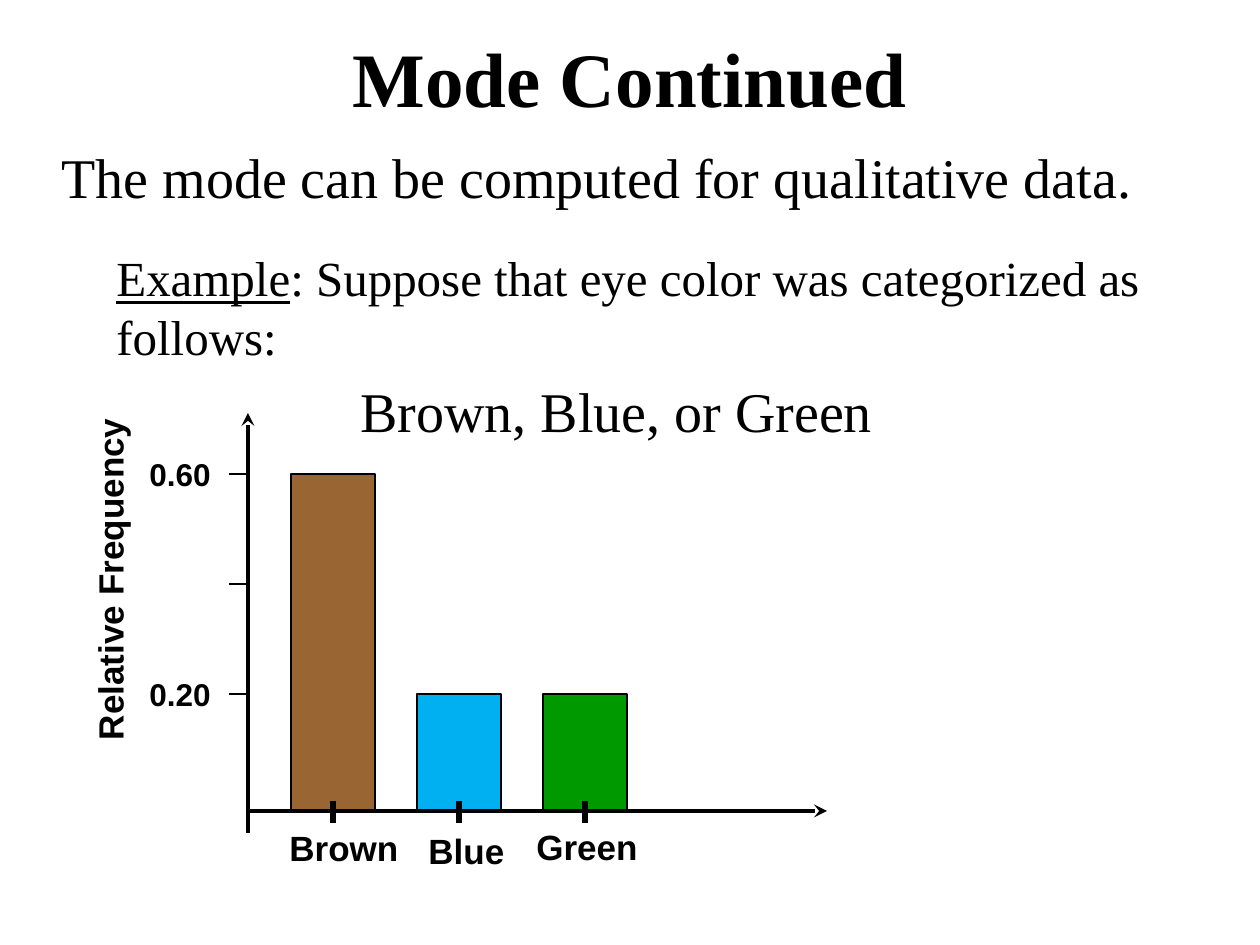
from lxml import etree
from pptx import Presentation
from pptx.dml.color import RGBColor
from pptx.enum.shapes import MSO_CONNECTOR as Connector, MSO_SHAPE as Shape
from pptx.enum.text import MSO_ANCHOR as Anchor, PP_ALIGN as Align
from pptx.oxml.ns import qn
from pptx.util import Emu, Pt

SERIF, SANS = "Times New Roman", "Arial"
BLACK = "000000"


def px(n):
    """126 px to the inch."""
    return Emu(round(n * 914400 / 126))


def color(hex_string):
    return RGBColor.from_string(hex_string)


def add_text(slide, box, wrap=True):
    frame = slide.shapes.add_textbox(*map(px, box)).text_frame
    frame.word_wrap = wrap
    return frame


def style(paragraph, font_name, size, bold=False):
    font = paragraph.font
    font.name, font.size, font.bold = font_name, Pt(size), bold
    font.color.rgb = color(BLACK)


def add_label(slide, text, box, size=20, wrap=True, rotation=0):
    label = slide.shapes.add_textbox(*map(px, box))
    label.rotation = rotation
    label.text_frame.word_wrap = wrap
    paragraph = label.text_frame.paragraphs[0]
    paragraph.text = text
    style(paragraph, SANS, size, bold=True)


def add_line(slide, start, end, width, arrow=False):
    line = slide.shapes.add_connector(Connector.STRAIGHT, *map(px, start + end))
    line.line.color.rgb = color(BLACK)
    line.line.width = Pt(width)
    if arrow:
        etree.SubElement(line.line._get_or_add_ln(), qn("a:tailEnd"), type="stealth")
    etree.SubElement(line._element.spPr, qn("a:effectLst"))


def build_title(slide, box):
    frame = add_text(slide, box)
    frame.vertical_anchor = Anchor.MIDDLE
    title = frame.paragraphs[0]
    title.text = "Mode Continued"
    title.alignment = Align.CENTER
    style(title, SERIF, 44, bold=True)


def build_body(slide, box):
    frame = add_text(slide, box)
    # Runs as (text, underlined), size, left margin in px, space before in pt
    rows = [
        ([("The mode can be computed for qualitative data.", False)], 32, 0, 0),
        ([("Example", True),
          (": Suppose that eye color was categorized as follows:", False)], 28, 55, 22),
        ([("Brown, Blue, or Green", False)], 32, 299, 6.4),
    ]
    for i, (runs, size, margin, before) in enumerate(rows):
        paragraph = frame.paragraphs[0] if i == 0 else frame.add_paragraph()
        for text, underlined in runs:
            run = paragraph.add_run()
            run.text = text
            if underlined:
                run.font.underline = True
        style(paragraph, SERIF, size)
        paragraph.space_before = Pt(before)
        paragraph._p.get_or_add_pPr().set("marL", str(px(margin)))


def build_bar_graph(slide, box):
    left, top, width, height = box
    axis_x, axis_y = left + 184, top + height - 110
    right = left + width

    def value_y(fifths):
        """Height of a frequency counted in steps of 0.20."""
        return axis_y - 7 - 110 * fifths

    # Axes
    add_line(slide, (axis_x, axis_y), (right, axis_y), 2.5, arrow=True)
    add_line(slide, (axis_x, axis_y + 22), (axis_x, top), 2.5, arrow=True)

    # Bars, with category ticks and labels: fifths, fill, label box offset and width
    bars = [
        ("Brown", 3, "996633", (-14, 9), 150),
        ("Blue", 1, "00B0F0", (-1, 12), 210),
        ("Green", 1, "009900", (-19, 8), 315),
    ]
    bar_width, pitch = 84, 126
    for i, (name, fifths, fill, (dx, dy), label_width) in enumerate(bars):
        bar_x, bar_y = axis_x + 43 + pitch * i, value_y(fifths)
        bar = slide.shapes.add_shape(
            Shape.RECTANGLE, px(bar_x), px(bar_y), px(bar_width), px(axis_y - 1 - bar_y))
        bar.shadow.inherit = False
        bar.fill.solid()
        bar.fill.fore_color.rgb = color(fill)
        bar.line.color.rgb = color(BLACK)
        bar.line.width = Pt(0.75)
        middle = bar_x + bar_width // 2
        add_line(slide, (middle, axis_y - 10), (middle, axis_y + 12), 3)
        add_label(slide, name, (bar_x + dx, axis_y + dy, label_width, 54))

    # Frequency ticks and labels
    for fifths, text in ((1, "0.20"), (2, None), (3, "0.60")):
        y = value_y(fifths)
        add_line(slide, (axis_x - 19, y), (axis_x - 1, y), 1.5)
        if text:
            add_label(slide, text, (left + 73, y - 25, 87, 50), size=18, wrap=False)

    # Axis title, turned about the middle of its box
    add_label(slide, "Relative Frequency", (left - 128, top + 138, 348, 55), rotation=270)


def main():
    presentation = Presentation()
    presentation.slide_width, presentation.slide_height = px(1260), px(945)
    slide = presentation.slides.add_slide(presentation.slide_layouts[6])
    build_title(slide, (63, 24, 1134, 105))
    build_body(slide, (49, 136, 1155, 233))
    build_bar_graph(slide, (64, 413, 763, 508))
    presentation.save("out.pptx")


if __name__ == "__main__":
    main()
